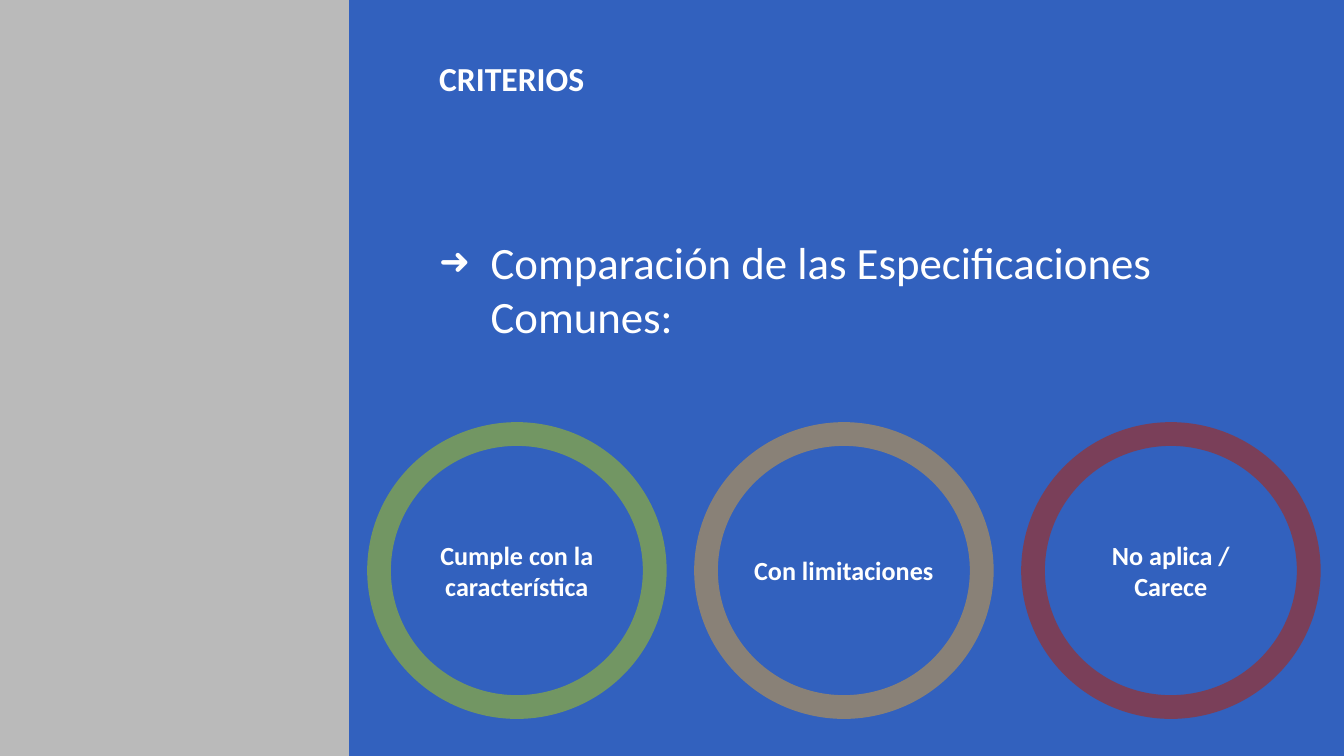
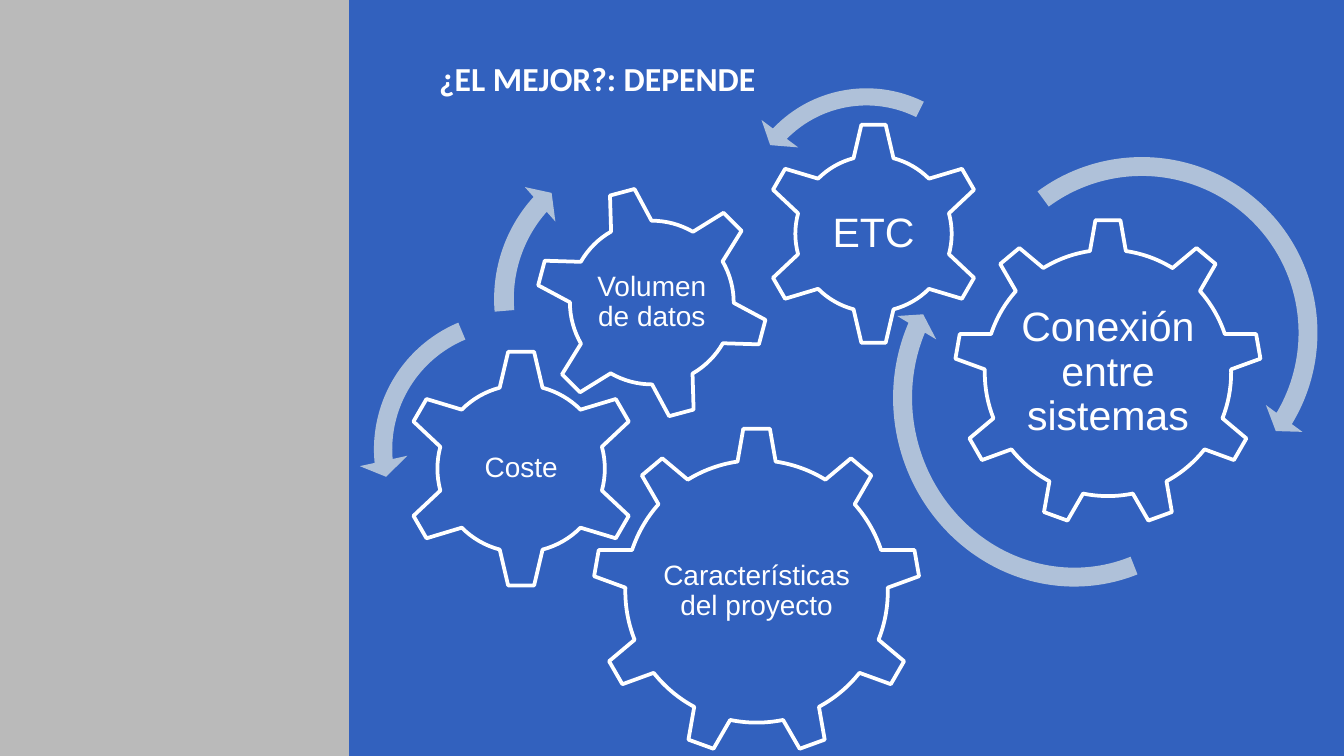
"""Build two slides on comparison criteria and the factors behind the best choice."""
import pptx
import pptx.dml.color
import pptx.enum.shapes
import pptx.enum.text
import pptx.oxml
import pptx.oxml.ns
import pptx.util

Cm = pptx.util.Cm
Pt = pptx.util.Pt
qn = pptx.oxml.ns.qn
SHAPE = pptx.enum.shapes.MSO_SHAPE
ALIGN = pptx.enum.text.PP_ALIGN
ANCHOR = pptx.enum.text.MSO_ANCHOR

COLORS = {
    "white": "FFFFFF",
    "black": "000000",
    "blue": "0040C0",
    "green": "8BAB42",
    "amber": "D89F39",
    "red": "963334",
    "arrow": "AFC1D9",
}
WIDTH, HEIGHT = 25.4, 14.29


def rgb(name):
    return pptx.dml.color.RGBColor.from_string(COLORS[name])


def add_bullet(p, char, color, percent, indent):
    pPr = p._p.get_or_add_pPr()
    pPr.set("marL", str(Cm(indent)))
    pPr.set("indent", str(-Cm(indent)))
    ns = pptx.oxml.ns.nsdecls("a")
    for xml in (
        f'<a:buClr {ns}><a:srgbClr val="{COLORS[color]}"/></a:buClr>',
        f'<a:buSzPct {ns} val="{percent * 1000}"/>',
        f'<a:buChar {ns} char="{char}"/>',
    ):
        pPr.append(pptx.oxml.parse_xml(xml))


def write_text(tf, text, size=14, font="Calibri", color="white", bold=False,
               align=ALIGN.LEFT, anchor=ANCHOR.TOP, inset=0.25, spacing=None, bullet=None):
    tf.word_wrap = True
    tf.auto_size = pptx.enum.text.MSO_AUTO_SIZE.NONE
    tf.vertical_anchor = anchor
    tf.margin_left = tf.margin_right = tf.margin_top = tf.margin_bottom = Cm(inset)
    for i, line in enumerate(text.split("\n")):
        p = tf.add_paragraph() if i else tf.paragraphs[0]
        p.alignment = align
        p.space_before = Pt(0)
        if spacing:
            p.line_spacing = spacing
        if bullet:
            add_bullet(p, bullet, color, 83, 0.97)
        r = p.add_run()
        r.text = line
        r.font.size = Pt(size)
        r.font.name = font
        r.font.bold = bold
        r.font.color.rgb = rgb(color)


class Deck:
    def __init__(self):
        self.prs = pptx.Presentation()
        self.prs.slide_width, self.prs.slide_height = Cm(WIDTH), Cm(HEIGHT)
        self.s = None

    def slide(self, layout, title):
        self.s = self.prs.slides.add_slide(self.prs.slide_layouts.get_by_name(layout))
        self.placeholder(0, title, (8.05, 0.84, 15.88, 1.4), size=18, bold=True)

    def placeholder(self, idx, text, box, **fmt):
        sp = self.s.placeholders[idx]
        sp.left, sp.top, sp.width, sp.height = map(Cm, box)
        write_text(sp.text_frame, text, **fmt)

    def shape(self, kind, box, fill=None, alpha=None, line=None, adj=(), rotation=0):
        sp = self.s.shapes.add_shape(kind, *map(Cm, box))
        sp.shadow.inherit = False
        sp.rotation = rotation
        for i, value in enumerate(adj):
            sp.adjustments[i] = value
        if fill:
            sp.fill.solid()
            sp.fill.fore_color.rgb = rgb(fill)
        else:
            sp.fill.background()
        if alpha:
            clr = sp.element.spPr.find(qn("a:solidFill") + "/" + qn("a:srgbClr"))
            clr.append(pptx.oxml.parse_xml(
                f'<a:alpha {pptx.oxml.ns.nsdecls("a")} val="{alpha * 1000}"/>'))
        if line:
            sp.line.color.rgb = rgb(line)
            sp.line.width = Pt(2)
        else:
            sp.line.fill.background()
        return sp

    def master_bands(self):
        tree = self.prs.slide_master.shapes.element
        bands = [(0, "black", 27), (6.6, "blue", 73)]
        for i, (x, color, alpha) in enumerate(bands):
            sp = self.shape(SHAPE.RECTANGLE, (x, 0, WIDTH - x, HEIGHT), color, alpha)
            sp.element.nvSpPr.cNvPr.set("id", str(101 + i))
            tree.insert(2 + i, sp.element)

    def ring(self, x, text, color, alpha):
        sp = self.shape(SHAPE.DONUT, (x, 7.98, 5.66, 5.61), color, alpha, adj=[0.08])
        write_text(sp.text_frame, text, bold=True, align=ALIGN.CENTER, anchor=ANCHOR.MIDDLE)

    def gear(self, kind, x, y, size, text, label, points, rotation=0):
        self.shape(kind, (x, y, size, size), line="white", rotation=rotation)
        w, h = label
        box = (x + (size - w) / 2, y + (size - h) / 2, w, h)
        tb = self.s.shapes.add_textbox(*map(Cm, box))
        write_text(tb.text_frame, text, size=points, font="Arial", align=ALIGN.CENTER,
                   anchor=ANCHOR.MIDDLE, inset=0.05, spacing=0.9)

    def arrow(self, kind, box, adj, rotation=0):
        self.shape(kind, box, "arrow", adj=adj, rotation=rotation)


def main():
    deck = Deck()

    deck.slide("Title and Content", "CRITERIOS")
    deck.master_bands()
    deck.placeholder(1, "Comparación de las Especificaciones Comunes:",
                     (8.05, 4.19, 15.88, 3.63), size=24, bullet="➜")
    rings = [
        ("Cumple con la característica", "green", 73),
        ("Con limitaciones", "amber", 53),
        ("No aplica /\nCarece", "red", 73),
    ]
    for i, ring in enumerate(rings):
        deck.ring(6.94 + 6.18 * i, *ring)

    deck.slide("Title Only", "¿EL MEJOR?: DEPENDE")
    gears = [
        (SHAPE.GEAR_9, 18.03, 4.14, 5.82, "Conexión entre sistemas", (3.48, 3), 22),
        (SHAPE.GEAR_6, 14.4, 2.31, 4.22, "ETC", (2.11, 2.08), 22),
        (SHAPE.GEAR_9, 11.2, 8.08, 6.2, "Características del proyecto", (3.71, 3.2), 15),
        (SHAPE.GEAR_6, 7.59, 6.6, 4.52, "Coste", (2.24, 2.24), 15),
        (SHAPE.GEAR_6, 10.11, 3.51, 4.42, "Volumen de datos", (2.49, 2.49), 15, 345),
    ]
    for gear in gears:
        deck.gear(*gear)

    left_adj = (0.06, 4.3, 104.89, 148.38, 0.08)
    arrows = [
        (SHAPE.CIRCULAR_ARROW, (18.01, 2.72, 7.14, 7.14),
         (0.05, 3.13, 31.12, 152.64, 0.06), 339.2),
        (SHAPE.LEFT_CIRCULAR_ARROW, (13.67, 1.4, 5.41, 5.41), left_adj, 49.1),
        (SHAPE.CIRCULAR_ARROW, (16.64, 3.86, 7.16, 7.49),
         (0.05, 2.99, 25.13, 158.68, 0.06), 164.1),
        (SHAPE.LEFT_CIRCULAR_ARROW, (6.78, 5.61, 5.77, 5.77), left_adj),
        (SHAPE.CIRCULAR_ARROW, (9.09, 2.54, 6.22, 6.22),
         (0.06, 3.94, 133.14, 105.08, 0.07)),
    ]
    for arrow in arrows:
        deck.arrow(*arrow)

    deck.prs.save("out.pptx")


if __name__ == "__main__":
    main()
